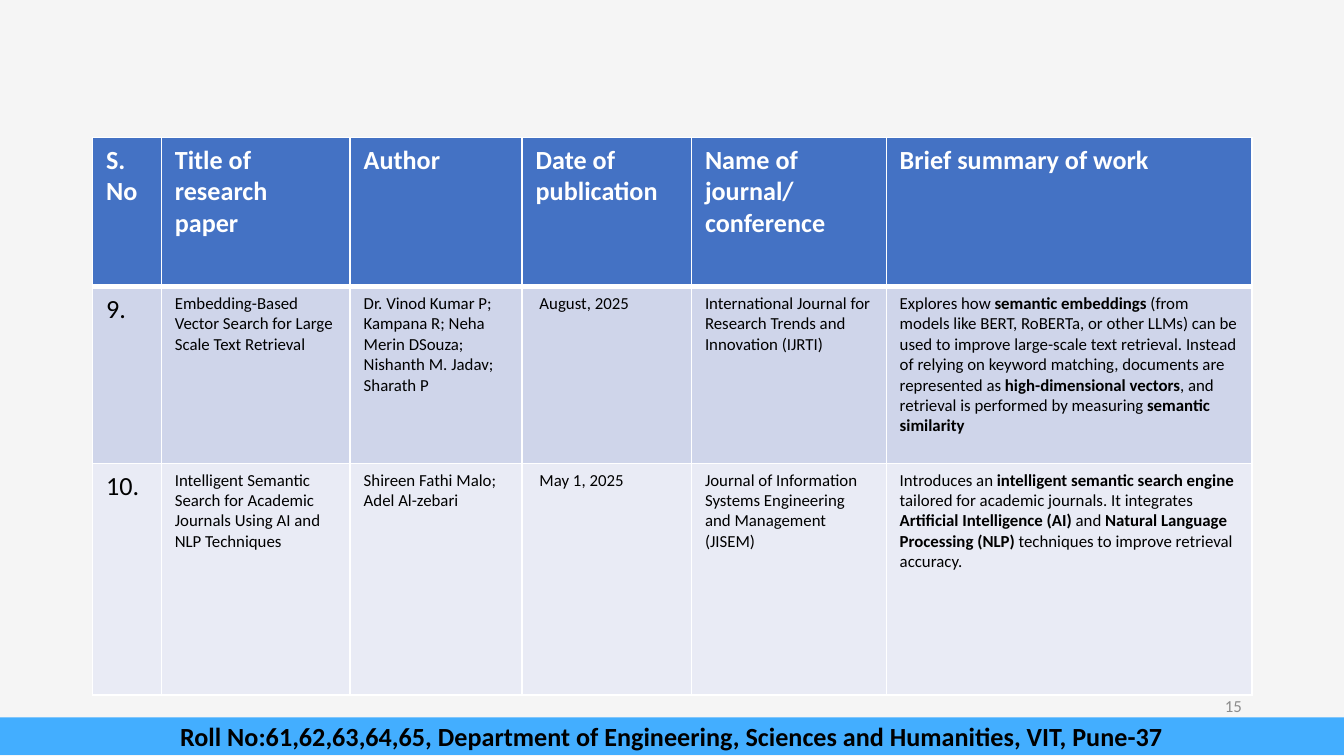
from lxml.etree import SubElement
from pptx import Presentation
from pptx.dml.color import RGBColor
from pptx.enum.shapes import MSO_SHAPE
from pptx.enum.text import MSO_ANCHOR, PP_ALIGN
from pptx.oxml.ns import qn
from pptx.util import Cm, Pt

COLORS = {
    "background": "F5F5F5", "header": "4472C4", "odd": "CFD5EA", "even": "E9EBF5",
    "white": "FFFFFF", "black": "000000", "number": "8C8C8C", "footer": "43AEFF",
}
COL_WIDTHS = [1.3, 3.57, 3.25, 3.2, 3.68, 6.91]
ROW_HEIGHTS = [2.82, 3.34, 4.38]
# Text between ** marks is bold
PAPERS = [
    ["S.\nNo", "Title of research paper", "Author", "Date of publication",
     "Name of journal/\nconference", "Brief summary of work"],
    ["9.", "Embedding-Based Vector Search for Large Scale Text Retrieval",
     "Dr. Vinod Kumar P; Kampana R; Neha Merin DSouza; Nishanth M. Jadav; Sharath P",
     " August, 2025",
     "International Journal for Research Trends and Innovation (IJRTI)",
     "Explores how **semantic embeddings** (from models like BERT, RoBERTa, or other "
     "LLMs) can be used to improve large-scale text retrieval. Instead of relying on "
     "keyword matching, documents are represented as **high-dimensional vectors**, and "
     "retrieval is performed by measuring **semantic similarity**"],
    ["10.", "Intelligent Semantic Search for Academic Journals Using AI and NLP Techniques",
     "Shireen Fathi Malo; Adel Al-zebari", " May 1, 2025",
     "Journal of Information Systems Engineering and Management (JISEM)",
     "Introduces an **intelligent semantic search engine** tailored for academic "
     "journals. It integrates **Artificial Intelligence (AI)** and **Natural Language "
     "Processing (NLP)** techniques to improve retrieval accuracy."],
]


def rgb(name):
    return RGBColor.from_string(COLORS[name])


def write(tf, text, color, align=PP_ALIGN.LEFT, **font):
    """Fill a text frame, one paragraph a line, with ** switching bold."""
    tf.word_wrap = True
    for i, line in enumerate(text.split("\n")):
        p = tf.add_paragraph() if i else tf.paragraphs[0]
        p.alignment = align
        for j, part in enumerate(line.split("**")):
            if not part:
                continue
            r = p.add_run()
            r.text = part
            values = {"name": "Calibri", "bold": j % 2 == 1, **font}
            for key, value in values.items():
                setattr(r.font, key, value)
            r.font.color.rgb = rgb(color)


def set_borders(cell, **widths):
    tcPr = cell._tc.get_or_add_tcPr()
    for side, width in widths.items():
        ln = SubElement(tcPr, qn(f"a:ln{side}"), w=str(Pt(width)))
        fill = SubElement(ln, qn("a:solidFill"))
        SubElement(fill, qn("a:srgbClr"), val=COLORS["white"])


def add_page_number(s, left, top, width, height):
    tf = s.shapes.add_textbox(left, top, width, height).text_frame
    values = {"margin_left": Cm(0.18), "margin_right": Cm(0.18), "margin_top": 0,
              "margin_bottom": 0, "vertical_anchor": MSO_ANCHOR.MIDDLE}
    for key, value in values.items():
        setattr(tf, key, value)
    write(tf, "15", "number", PP_ALIGN.RIGHT, size=Pt(9))


def add_paper_table(s, left, top, width, height):
    table = s.shapes.add_table(len(PAPERS), len(COL_WIDTHS), left, top, width, height).table
    for col, w in zip(table.columns, COL_WIDTHS):
        col.width = Cm(w)
    for row, h in zip(table.rows, ROW_HEIGHTS):
        row.height = Cm(h)
    for i, texts in enumerate(PAPERS):
        for j, text in enumerate(texts):
            cell = table.cell(i, j)
            set_borders(cell, L=1, R=1, T=3 if i == 1 else 1, B=1 if i else 3)
            cell.fill.solid()
            cell.fill.fore_color.rgb = rgb(("header", "odd", "even")[i])
            if i == 0:
                write(cell.text_frame, text, "white", size=Pt(14), bold=True)
            else:
                write(cell.text_frame, text, "black", size=Pt(9 if j else 14))


def add_footer(s, left, top, width, height):
    sp = s.shapes.add_shape(MSO_SHAPE.RECTANGLE, left, top, width, height)
    sp.shadow.inherit = False
    sp.fill.solid()
    sp.fill.fore_color.rgb = rgb("footer")
    sp.line.fill.background()
    sp.text_frame.vertical_anchor = MSO_ANCHOR.MIDDLE
    write(sp.text_frame,
          "Roll No:61,62,63,64,65, Department of Engineering, Sciences and Humanities, "
          "VIT, Pune-37", "black", PP_ALIGN.CENTER, size=Pt(14), bold=True)


def main():
    prs = Presentation()
    prs.slide_width, prs.slide_height = Cm(25.4), Cm(14.29)
    s = prs.slides.add_slide(prs.slide_layouts[6])
    s.background.fill.solid()
    s.background.fill.fore_color.rgb = rgb("background")

    table_top, table_height = Cm(2.6), Cm(sum(ROW_HEIGHTS))
    table_bottom, footer_top = table_top + table_height, Cm(13.56)
    add_paper_table(s, Cm(1.75), table_top, Cm(sum(COL_WIDTHS)), table_height)
    # The page number sits in the gap between table and footer
    add_page_number(s, Cm(17.93), table_bottom, Cm(5.72), footer_top - table_bottom)
    add_footer(s, 0, footer_top, prs.slide_width, Cm(0.71))
    prs.save("out.pptx")


if __name__ == "__main__":
    main()
